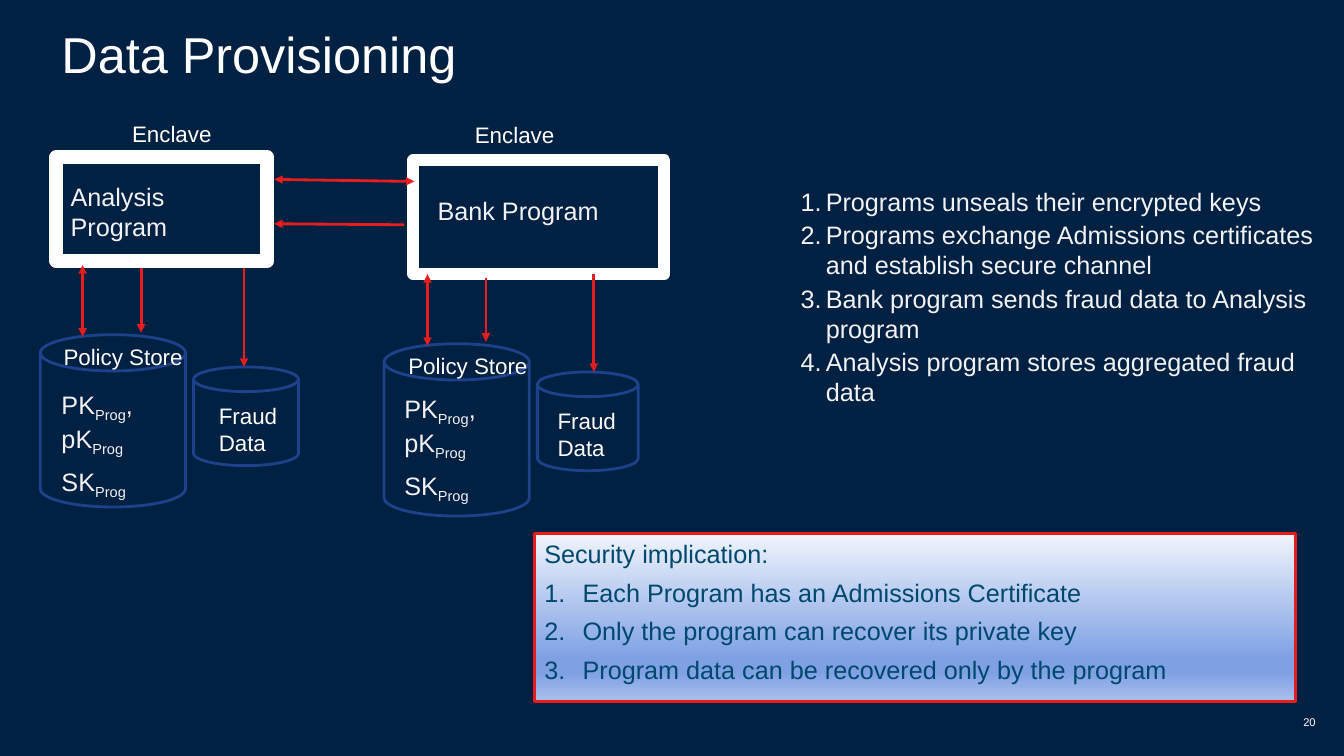
"""Build the Data Provisioning slide with two enclaves, their stores and the security notes."""
import pptx
import pptx.dml.color
import pptx.enum.shapes
import pptx.enum.text
import pptx.oxml
import pptx.oxml.ns
import pptx.util
from lxml import etree

Inches = pptx.util.Inches
Pt = pptx.util.Pt
Color = pptx.dml.color.RGBColor.from_string
Shape = pptx.enum.shapes.MSO_SHAPE
Align = pptx.enum.text.PP_ALIGN
Anchor = pptx.enum.text.MSO_ANCHOR
qn = pptx.oxml.ns.qn

THEME = {
    "font": "Arial",
    "background": "002142",
    "white": "FFFFFF",
    "soft": "F2F2F2",
    "red": "E71D1D",
    "blue": "1D418A",
    "teal": "00486D",
    "gradient": [(0, "F1F5FC"), (74, "7FA1E4"), (83, "7FA1E4"), (100, "AAC0ED")],
    "title": 36,
    "body": 18,
    "label": 16,
    "number": 8,
}

presentation = pptx.Presentation()
presentation.slide_width = Inches(13.33)
presentation.slide_height = Inches(7.5)
slide = presentation.slides.add_slide(presentation.slide_layouts[6])
slide.background.fill.solid()
slide.background.fill.fore_color.rgb = Color(THEME["background"])


def write(frame, paragraphs, size, color, formats=None, indent=0, first_number=0):
    """Write paragraphs in which every second part between bars is subscript."""
    frame.word_wrap = True
    frame.vertical_anchor = Anchor.TOP
    for index, text in enumerate(paragraphs):
        paragraph = frame.add_paragraph() if index else frame.paragraphs[0]
        paragraph.alignment = Align.LEFT
        for name, value in (formats or {}).items():
            if index or name != "space_before":
                setattr(paragraph, name, value)
        if indent and index >= first_number:
            properties = paragraph._p.get_or_add_pPr()
            properties.set("marL", str(Inches(indent)))
            properties.set("indent", str(-Inches(indent)))
            etree.SubElement(properties, qn("a:buFont"), typeface="+mj-lt")
            etree.SubElement(properties, qn("a:buAutoNum"), type="arabicPeriod")
        for position, part in enumerate(text.split("|")):
            if not part:
                continue
            run = paragraph.add_run()
            run.text = part
            for name, value in {"name": THEME["font"], "size": Pt(size)}.items():
                setattr(run.font, name, value)
            run.font.color.rgb = Color(color)
            if position % 2:
                run._r.get_or_add_rPr().set("baseline", "-25000")


def add_text(box, paragraphs, size, color, formats=None, indent=0):
    """Add a text box without margins."""
    frame = slide.shapes.add_textbox(*map(Inches, box)).text_frame
    for side in ("left", "top", "right", "bottom"):
        setattr(frame, f"margin_{side}", 0)
    write(frame, paragraphs, size, color, formats, indent)
    return frame


after = {"space_after": Pt(6)}

number = add_text((12.57, 7.07, 0.48, 0.2), ["20"], THEME["number"], THEME["white"],
                  {"alignment": Align.RIGHT, "line_spacing": 0.9})
number.word_wrap = False
number.vertical_anchor = Anchor.MIDDLE
title = add_text((0.61, 0.19, 12.03, 0.65), ["Data Provisioning"], THEME["title"],
                 THEME["white"], {"line_spacing": 0.9})
title.vertical_anchor = Anchor.BOTTOM

outlines = [
    (Shape.RECTANGLE, (4.1, 1.59, 2.49, 1.13), "white", 8.5),
    (Shape.RECTANGLE, (0.56, 1.56, 2.09, 1.03), "white", 10),
    (Shape.CAN, (0.4, 3.32, 1.44, 1.71), "blue", 2),
    (Shape.CAN, (3.81, 3.41, 1.44, 1.71), "blue", 2),
    (Shape.CAN, (1.92, 3.64, 1.04, 0.98), "blue", 2),
    (Shape.CAN, (5.33, 3.69, 1, 0.98), "blue", 2),
]
for kind, box, color, width in outlines:
    shape = slide.shapes.add_shape(kind, *map(Inches, box))
    shape.shadow.inherit = False
    shape.fill.background()
    shape.line.color.rgb = Color(THEME[color])
    shape.line.width = Pt(width)

arrows = [
    ((4.11, 1.8), (2.72, 1.78), True),
    ((4.01, 2.23), (2.72, 2.22), False),
    ((0.82, 2.63), (0.82, 3.34), True),
    ((1.4, 2.66), (1.4, 3.3), False),
    ((2.42, 2.66), (2.42, 3.64), False),
    ((4.24, 2.72), (4.24, 3.43), True),
    ((4.82, 2.76), (4.82, 3.39), False),
    ((5.89, 2.72), (5.89, 3.69), False),
]
for start, end, both_ways in arrows:
    arrow = slide.shapes.add_connector(
        pptx.enum.shapes.MSO_CONNECTOR.STRAIGHT, *map(Inches, start + end))
    arrow.line.color.rgb = Color(THEME["red"])
    arrow.line.width = Pt(2)
    line = arrow.line._get_or_add_ln()
    for tag in ("a:headEnd", "a:tailEnd") if both_ways else ("a:tailEnd",):
        etree.SubElement(line, qn(tag), type="triangle")
    etree.SubElement(arrow._element.spPr, qn("a:effectLst"))

keys = ["PK|Prog|, pK|Prog", "SK|Prog"]
body_labels = [
    ((0.7, 1.8, 1.71, 0.32), ["Analysis Program"]),
    ((4.34, 1.94, 2.2, 0.3), ["Bank Program"]),
    ((0.61, 3.86, 1.11, 1.05), keys),
    ((4.01, 3.9, 1.09, 1.01), keys),
]
for box, paragraphs in body_labels:
    add_text(box, paragraphs, THEME["body"], THEME["soft"], after)

small_labels = [
    ("Enclave", 1.34, 0.32, {"line_spacing": 1.3}, [(1.31, 1.11), (4.71, 1.12)]),
    ("Policy Store", 1.41, 0.31, after, [(0.63, 3.4), (4.05, 3.49)]),
    ("Fraud Data", 0.86, 0.28, after, [(2.17, 3.99), (5.53, 4.04)]),
]
for text, width, height, formats, places in small_labels:
    for left, top in places:
        add_text((left, top, width, height), [text], THEME["label"], THEME["white"], formats)

steps = [
    "Programs unseals their encrypted keys",
    "Programs exchange Admissions certificates and establish secure channel",
    "Bank program sends fraud data to Analysis program",
    "Analysis program stores aggregated fraud data",
]
add_text((7.94, 1.85, 5.19, 2.39), steps, THEME["body"], THEME["soft"],
         {"space_before": Pt(2)}, 0.25)

panel = slide.shapes.add_shape(Shape.RECTANGLE, *map(Inches, (5.3, 5.29, 7.55, 1.67)))
panel.shadow.inherit = False
panel.line.color.rgb = Color(THEME["red"])
panel.line.width = Pt(2.25)
panel.fill.gradient()
panel.fill.gradient_angle = 270
stops = panel._element.spPr.find(".//" + qn("a:gsLst"))
for stop in list(stops):
    stops.remove(stop)
for percent, color in THEME["gradient"]:
    stop = etree.SubElement(stops, qn("a:gs"), pos=str(percent * 1000))
    etree.SubElement(stop, qn("a:srgbClr"), val=color)

implications = [
    "Security implication:",
    "Each Program has an Admissions Certificate",
    "Only the program can recover its private key",
    "Program data can be recovered only by the program",
]
write(panel.text_frame, implications, THEME["body"], THEME["teal"], after, 0.38, 1)

presentation.save("out.pptx")
